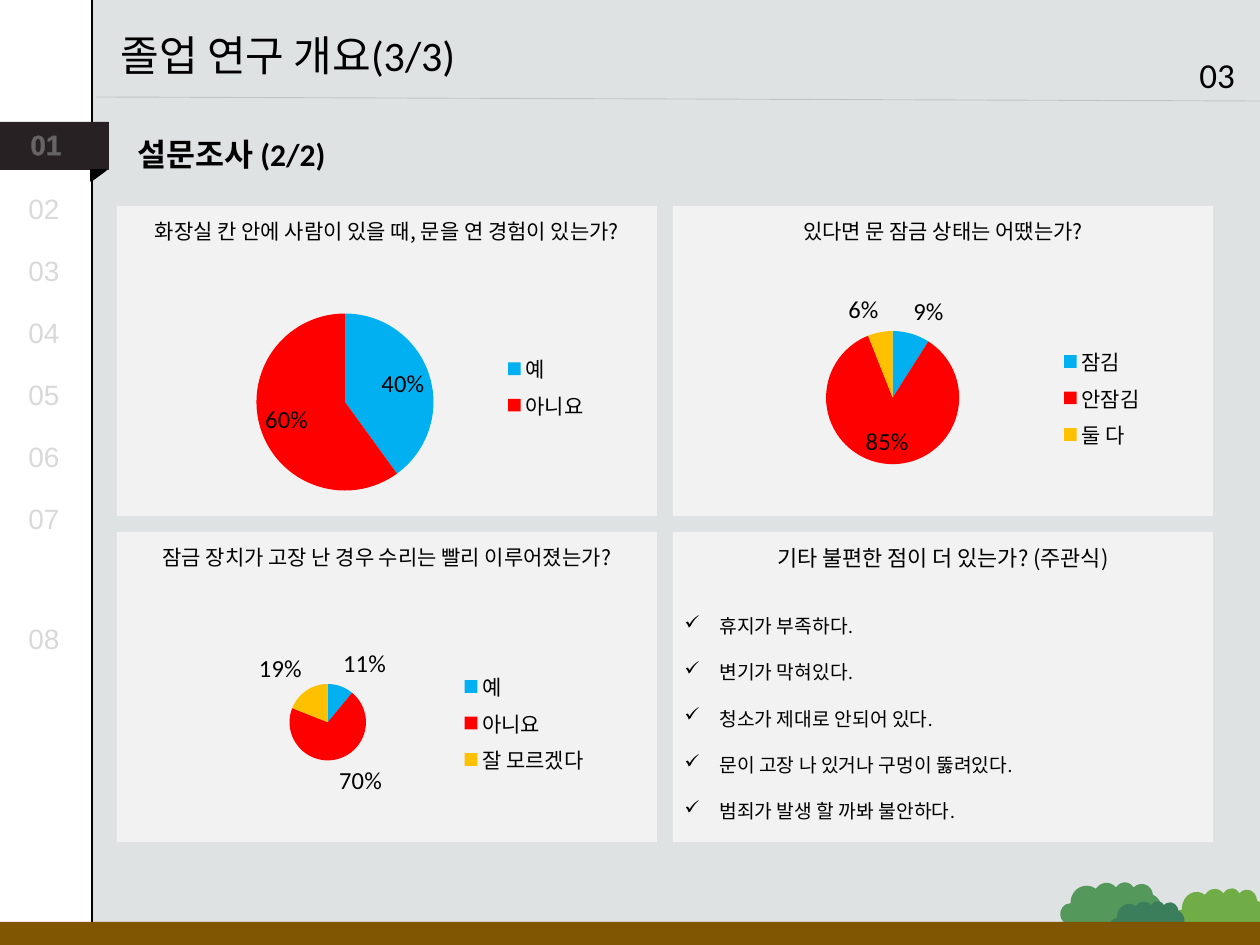
"""Build the survey results slide with three pie charts and a list of comments."""
from dataclasses import dataclass

from lxml import etree
from pptx import Presentation
from pptx.chart.data import CategoryChartData
from pptx.dml.color import RGBColor
from pptx.enum.chart import XL_CHART_TYPE, XL_LABEL_POSITION, XL_LEGEND_POSITION
from pptx.enum.shapes import MSO_CONNECTOR, MSO_SHAPE
from pptx.enum.text import MSO_AUTO_SIZE, PP_ALIGN
from pptx.oxml.ns import qn
from pptx.util import Pt

PIE = XL_CHART_TYPE.PIE
BEST_FIT = XL_LABEL_POSITION.BEST_FIT
LEGEND_RIGHT = XL_LEGEND_POSITION.RIGHT
STRAIGHT = MSO_CONNECTOR.STRAIGHT
RECTANGLE = MSO_SHAPE.RECTANGLE
TRIANGLE = MSO_SHAPE.RIGHT_TRIANGLE
CLOUD = MSO_SHAPE.CLOUD
GROW = MSO_AUTO_SIZE.SHAPE_TO_FIT_TEXT
LEFT, CENTER = PP_ALIGN.LEFT, PP_ALIGN.CENTER
EMU_PER_PX = 914400 / 126


@dataclass(frozen=True)
class Theme:
    background: str = "DEE2E2"
    panel: str = "F2F2F2"
    white: str = "FFFFFF"
    black: str = "000000"
    tab: str = "272123"
    muted: str = "D9D9D9"
    rule: str = "A6A6A6"
    ground: str = "805602"
    slices: tuple[str, ...] = ("00B0F0", "FF0000", "FFC000")
    body_font: str = "Calibri"
    number_font: str = "Arial"
    korean_font: str = "Noto Sans CJK KR"
    title_size: float = 24
    page_size: float = 20
    heading_size: float = 18
    number_size: float = 16
    label_size: float = 14
    question_size: float = 12
    open_question_size: float = 12.5
    comment_size: float = 11


@dataclass(frozen=True)
class Box:
    left: int
    top: int
    width: int
    height: int

    def emu(self) -> list[int]:
        return [px(value) for value in (self.left, self.top, self.width, self.height)]


@dataclass(frozen=True)
class Survey:
    column: int
    row: int
    question: str
    chart_offset: int
    answers: dict[str, int]


@dataclass(frozen=True)
class Bush:
    box: Box
    color: str


THEME = Theme()
SURVEYS = (
    Survey(0, 0, "화장실 칸 안에 사람이 있을 때, 문을 연 경험이 있는가?", 60,
           {"예": 40, "아니요": 60}),
    Survey(0, 1, "잠금 장치가 고장 난 경우 수리는 빨리 이루어졌는가?", 70,
           {"예": 11, "아니요": 70, "잘 모르겠다": 19}),
    Survey(1, 0, "있다면 문 잠금 상태는 어땠는가?", 71,
           {"잠김": 9, "안잠김": 85, "둘 다": 6}),
)
COMMENTS = ("휴지가 부족하다.", "변기가 막혀있다.", "청소가 제대로 안되어 있다.",
            "문이 고장 나 있거나 구멍이 뚫려있다.", "범죄가 발생 할 까봐 불안하다.")
BUSHES = (Bush(Box(1172, 887, 93, 78), "70AD47"),
          Bush(Box(1060, 881, 102, 78), "54985B"),
          Bush(Box(1109, 900, 76, 62), "3B7E5B"))
NUMBER_TOPS = (*range(185, 557, 62), 615)


def px(value: float) -> int:
    return round(value * EMU_PER_PX)


def rgb(color: str) -> RGBColor:
    return RGBColor.from_string(color)


def add_alpha(fill_parent, percent: int) -> None:
    color = fill_parent.find(".//" + qn("a:srgbClr"))
    etree.SubElement(color, qn("a:alpha"), val=str(percent * 1000))


def add_block(slide, box: Box, color: str, kind=RECTANGLE, border: bool = False, rotation: float = 0):
    shape = slide.shapes.add_shape(kind, *box.emu())
    shape.shadow.inherit = False
    shape.rotation = rotation
    shape.fill.solid()
    shape.fill.fore_color.rgb = rgb(color)
    if border:
        shape.line.color.rgb = rgb(THEME.black)
        shape.line.width = Pt(1)
    else:
        shape.line.fill.background()
    return shape


def add_text(slide, box: Box, text: str, size: float, font: str = THEME.body_font,
             color: str = THEME.black, bold: bool = False, align=LEFT, wrap: bool = True):
    text_frame = slide.shapes.add_textbox(*box.emu()).text_frame
    text_frame.word_wrap = wrap
    text_frame.auto_size = GROW
    text_frame.text = text
    for paragraph in text_frame.paragraphs:
        paragraph.alignment = align
        for run in paragraph.runs:
            run.font.name = font
            run.font.size = Pt(size)
            run.font.bold = bold
            run.font.color.rgb = rgb(color)
    return text_frame


def add_number(slide, box: Box, text: str, color: str, outline: str, bold: bool = False) -> None:
    text_frame = add_text(slide, box, text, THEME.number_size, THEME.number_font, color, bold)
    properties = text_frame.paragraphs[0].runs[0].font._element
    line = etree.Element(qn("a:ln"), w="9525")
    fill = etree.SubElement(line, qn("a:solidFill"))
    etree.SubElement(fill, qn("a:srgbClr"), val=outline)
    add_alpha(line, 30)
    properties.insert(0, line)


def add_panel(slide, column: int, row: int, question: str, size: float) -> Box:
    panel = Box(117 + 556 * column, 206 + 326 * row, 540, 310)
    add_block(slide, panel, THEME.panel)
    add_text(slide, Box(panel.left - 1, panel.top + 6, 542, 38), question, size,
             THEME.korean_font, align=CENTER)
    return panel


def add_survey(slide, survey: Survey) -> None:
    panel = add_panel(slide, survey.column, survey.row, survey.question, THEME.question_size)
    data = CategoryChartData()
    data.categories = list(survey.answers)
    data.add_series("Series 1", list(survey.answers.values()))
    box = Box(panel.left + 54, panel.top + survey.chart_offset, 430, 242)
    chart = slide.shapes.add_chart(PIE, *box.emu(), data).chart
    chart.has_title = False
    chart.font.name = THEME.body_font
    chart.font.size = Pt(THEME.heading_size)
    chart.font.color.rgb = rgb(THEME.black)
    chart.has_legend = True
    chart.legend.position = LEGEND_RIGHT
    chart.legend.include_in_layout = False
    chart.legend.font.size = Pt(THEME.question_size)
    plot = chart.plots[0]
    plot.vary_by_categories = True
    for index, color in zip(range(len(survey.answers)), THEME.slices):
        fill = plot.series[0].points[index].format.fill
        fill.solid()
        fill.fore_color.rgb = rgb(color)
    labels = plot.series[0].data_labels
    labels.show_percentage = True
    labels.show_value = False
    labels.position = BEST_FIT
    labels.font.size = Pt(THEME.label_size)


def add_comments(slide) -> None:
    panel = add_panel(slide, 1, 1, "기타 불편한 점이 더 있는가? (주관식)", THEME.open_question_size)
    box = Box(panel.left - 1, panel.top + 53, 542, 246)
    text_frame = add_text(slide, box, "\n".join(COMMENTS), THEME.comment_size)
    for paragraph in text_frame.paragraphs:
        paragraph.line_spacing = 2.0
        properties = paragraph._p.get_or_add_pPr()
        properties.set("marL", str(px(35)))
        properties.set("indent", str(-px(35)))
        etree.SubElement(properties, qn("a:buFont"), typeface="Wingdings")
        etree.SubElement(properties, qn("a:buChar"), char="ü")


def add_header_rule(slide) -> None:
    connector = slide.shapes.add_connector(STRAIGHT, px(1260), px(101), px(96), px(97))
    connector.line.color.rgb = rgb(THEME.rule)
    connector.line.width = Pt(0.5)
    properties = connector._element.spPr
    add_alpha(properties, 50)
    etree.SubElement(properties, qn("a:effectLst"))


def add_sidebar(slide) -> None:
    add_block(slide, Box(-5, -1, 97, 945), THEME.white, border=True)
    add_block(slide, Box(-6, 122, 115, 48), THEME.tab)
    add_block(slide, Box(93, 168, 11, 15), THEME.black, TRIANGLE, border=True, rotation=90)
    add_number(slide, Box(18, 121, 74, 47), "01", THEME.white, THEME.muted, bold=True)
    for number, top in enumerate(NUMBER_TOPS, start=2):
        add_number(slide, Box(16, top, 62, 47), f"{number:02}", THEME.muted, THEME.black)


def main() -> None:
    presentation = Presentation()
    presentation.slide_width, presentation.slide_height = px(1260), px(945)
    slide = presentation.slides.add_slide(presentation.slide_layouts[6])
    slide.background.fill.solid()
    slide.background.fill.fore_color.rgb = rgb(THEME.background)
    add_header_rule(slide)
    add_text(slide, Box(108, 23, 383, 63), "졸업 연구 개요(3/3)", THEME.title_size)
    add_sidebar(slide)
    add_text(slide, Box(1187, 47, 68, 55), "03", THEME.page_size)
    add_text(slide, Box(125, 129, 226, 50), "설문조사 (2/2)", THEME.heading_size, bold=True, wrap=False)
    for survey in SURVEYS:
        add_survey(slide, survey)
    add_comments(slide)
    for bush in BUSHES:
        add_block(slide, bush.box, bush.color, CLOUD, rotation=5.4)
    add_block(slide, Box(0, 922, 1260, 23), THEME.ground)
    presentation.save("out.pptx")


if __name__ == "__main__":
    main()
